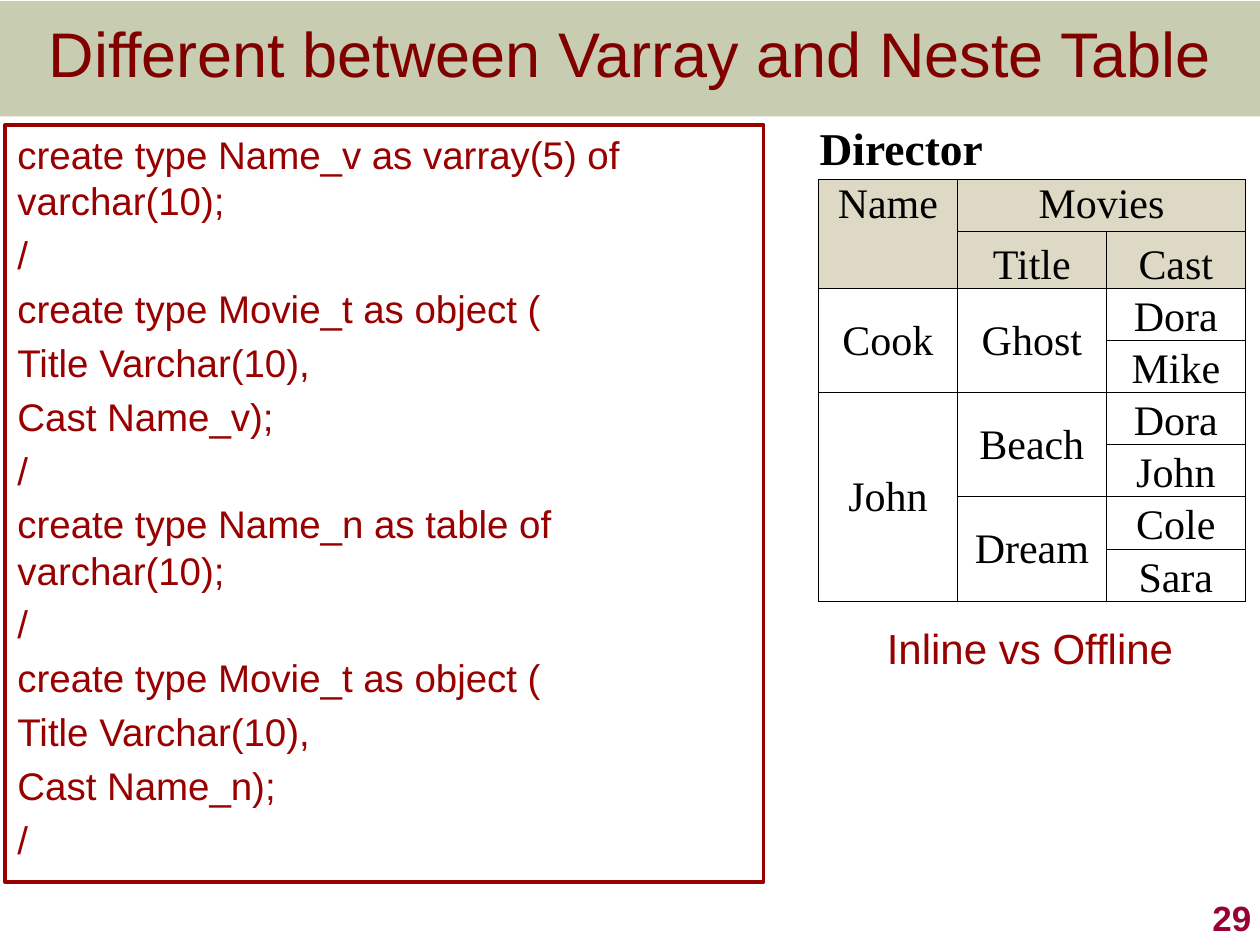
from lxml import etree
from pptx import Presentation, util as u
from pptx.dml.color import RGBColor
from pptx.enum import shapes, text
from pptx.oxml import ns

OLIVE = RGBColor(0x67, 0x72, 0x28)
MAROON = RGBColor(0x80, 0x00, 0x00)
RED = RGBColor(0x99, 0x01, 0x01)
CRIMSON = RGBColor(0x99, 0x00, 0x33)
BEIGE = RGBColor(0xDD, 0xD9, 0xC4)
WHITE = RGBColor(0xFF, 0xFF, 0xFF)
BLACK = RGBColor(0x00, 0x00, 0x00)

LEFT, CENTER, RIGHT = text.PP_ALIGN.LEFT, text.PP_ALIGN.CENTER, text.PP_ALIGN.RIGHT
TOP, MIDDLE, BOTTOM = (text.MSO_ANCHOR.TOP, text.MSO_ANCHOR.MIDDLE,
                       text.MSO_ANCHOR.BOTTOM)

CODE = [
    "create type Name_v as varray(5) of varchar(10);",
    "/",
    "create type Movie_t as object (",
    "Title Varchar(10),",
    "Cast Name_v);",
    "/",
    "create type Name_n as table of varchar(10);",
    "/",
    "create type Movie_t as object (",
    "Title Varchar(10),",
    "Cast Name_n);",
    "/",
]

COLUMN_WIDTHS = [11.05, 11.8, 11.05]
ROW_HEIGHTS = [4.45, 4.13, 4.5] + [4.14] * 6
# (row, column, rows spanned, columns spanned, wording, anchor)
DIRECTOR_CELLS = [
    (0, 0, 1, 3, "Director", TOP),
    (1, 0, 2, 1, "Name", TOP),
    (1, 1, 1, 2, "Movies", TOP),
    (2, 1, 1, 1, "Title", BOTTOM),
    (2, 2, 1, 1, "Cast", BOTTOM),
    (3, 0, 2, 1, "Cook", MIDDLE),
    (5, 0, 4, 1, "John", MIDDLE),
    (3, 1, 2, 1, "Ghost", MIDDLE),
    (5, 1, 2, 1, "Beach", MIDDLE),
    (7, 1, 2, 1, "Dream", MIDDLE),
] + [(row, 2, 1, 1, name, BOTTOM) for row, name in
     enumerate(["Dora", "Mike", "Dora", "John", "Cole", "Sara"], start=3)]


class SlideWriter:
    """Places elements on a grid of 100 columns by 75 rows."""
    font = "Arial"
    table_font = "Times New Roman"

    def __init__(self, deck):
        self.cell = deck.slide_width / 100
        self.page = deck.slides.add_slide(deck.slide_layouts[6])

    def grid(self, *lengths):
        return [u.Emu(round(length * self.cell)) for length in lengths]

    def style(self, para, size, color, align=LEFT, bold=False, font=None):
        para.alignment = align
        para.font.name = font or self.font
        para.font.size = u.Pt(size)
        para.font.bold = bold
        para.font.color.rgb = color

    def band(self, at, color, opacity):
        shape = self.page.shapes.add_shape(shapes.MSO_SHAPE.RECTANGLE, *self.grid(*at))
        shape.shadow.inherit = False
        shape.line.fill.background()
        shape.fill.solid()
        shape.fill.fore_color.rgb = color
        tint = next(shape.element.spPr.iter(ns.qn("a:srgbClr")))
        etree.SubElement(tint, ns.qn("a:alpha"), val=str(opacity * 1000))

    def label(self, at, wording, size, color, align=LEFT, anchor=TOP, bold=False,
              wrap=True):
        frame = self.page.shapes.add_textbox(*self.grid(*at)).text_frame
        frame.word_wrap = wrap
        frame.vertical_anchor = anchor
        frame.text = wording
        self.style(frame.paragraphs[0], size, color, align, bold)

    def code(self, at, lines, size, color):
        box = self.page.shapes.add_shape(shapes.MSO_SHAPE.RECTANGLE, *self.grid(*at))
        box.shadow.inherit = False
        box.fill.background()
        box.line.color.rgb = color
        box.line.width = u.Pt(2)
        frame = box.text_frame
        frame.word_wrap = True
        frame.vertical_anchor = TOP
        frame.margin_right = 0
        frame.text = "\n".join(lines)
        for index, para in enumerate(frame.paragraphs):
            self.style(para, size, color)
            para.space_before = u.Pt(0.2 * size if index else 0)

    def border(self, cell, sides):
        properties = cell._tc.get_or_add_tcPr()
        for side in sides:
            line = etree.SubElement(properties, ns.qn(f"a:ln{side}"), w=str(u.Pt(0.5)))
            fill = etree.SubElement(line, ns.qn("a:solidFill"))
            etree.SubElement(fill, ns.qn("a:srgbClr"), val=str(BLACK))

    def table(self, left, top, widths, heights, cells):
        """Draws a captioned table: row 0 is the caption, rows 1 and 2 the heading."""
        at = self.grid(left, top, sum(widths), sum(heights))
        table = self.page.shapes.add_table(len(heights), len(widths), *at).table
        table.first_row = table.horz_banding = False
        for column, width in zip(table.columns, self.grid(*widths)):
            column.width = width
        for row, height in zip(table.rows, self.grid(*heights)):
            row.height = height
        for index, row in enumerate(table.rows):
            for cell in row.cells:
                self.border(cell, "LRTB" if index else "B")
                cell.fill.solid()
                cell.fill.fore_color.rgb = BEIGE if index in (1, 2) else WHITE
                cell.margin_left = cell.margin_right = cell.margin_top = u.Inches(0.01)
                cell.margin_bottom = 0
        for row, column, down, across, wording, anchor in cells:
            cell = table.cell(row, column)
            if down * across > 1:
                cell.merge(table.cell(row + down - 1, column + across - 1))
            cell.text = wording
            cell.vertical_anchor = anchor
            caption = row == 0
            self.style(cell.text_frame.paragraphs[0], 26 if caption else 24, BLACK,
                       LEFT if caption else CENTER, caption, self.table_font)


def main():
    deck = Presentation()
    deck.slide_width, deck.slide_height = u.Inches(10), u.Inches(7.5)
    slide = SlideWriter(deck)
    slide.band((0, 0.1, 100, 9.15), OLIVE, opacity=36)
    slide.label((0, 0, 100, 8.3), "Different between Varray and Neste Table", 36,
                MAROON, CENTER, MIDDLE)
    slide.label((79.5, 70, 20.8, 5), "29", 20, CRIMSON, RIGHT, BOTTOM, bold=True)
    slide.code((0.4, 9.9, 60.2, 60.1), CODE, 22, RED)
    slide.table(64.95, 9.8, COLUMN_WIDTHS, ROW_HEIGHTS, DIRECTOR_CELLS)
    slide.label((69.4, 48.9, 25, 5), "Inline vs Offline", 24, RED, wrap=False)
    deck.save("out.pptx")


if __name__ == "__main__":
    main()
